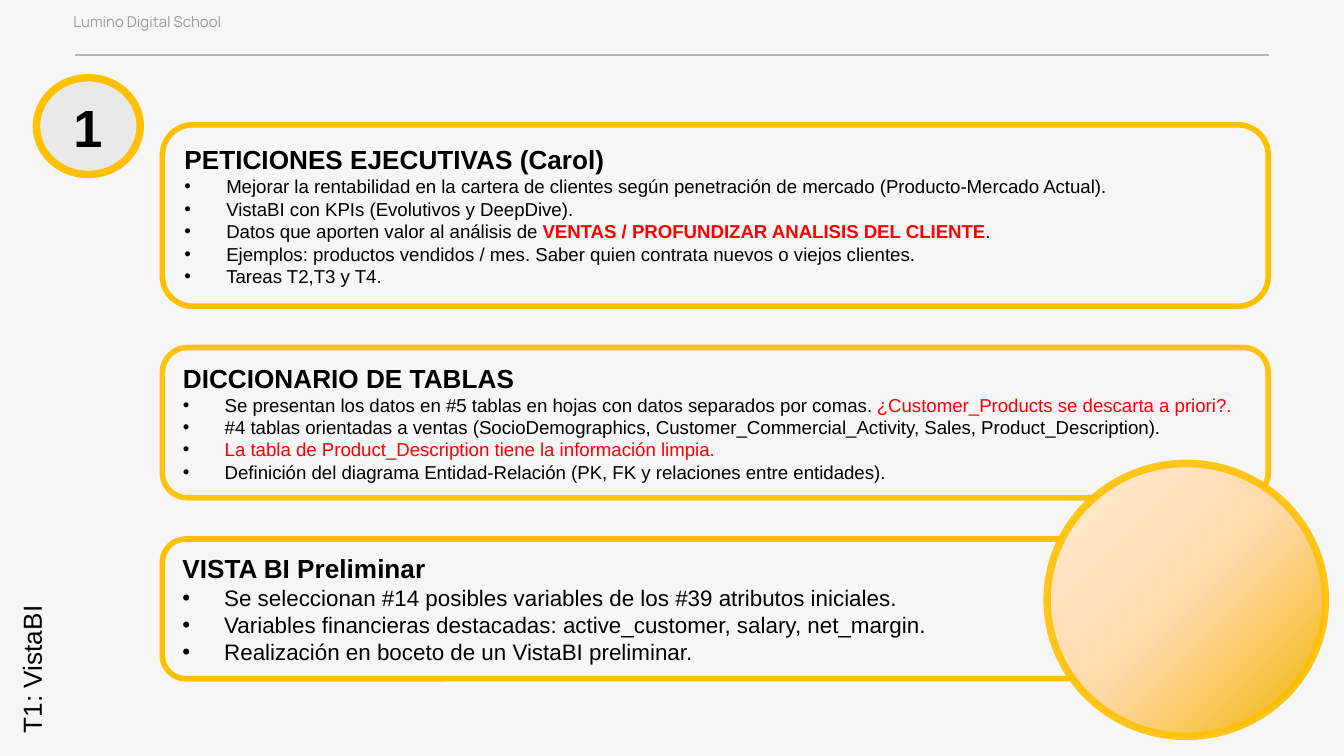
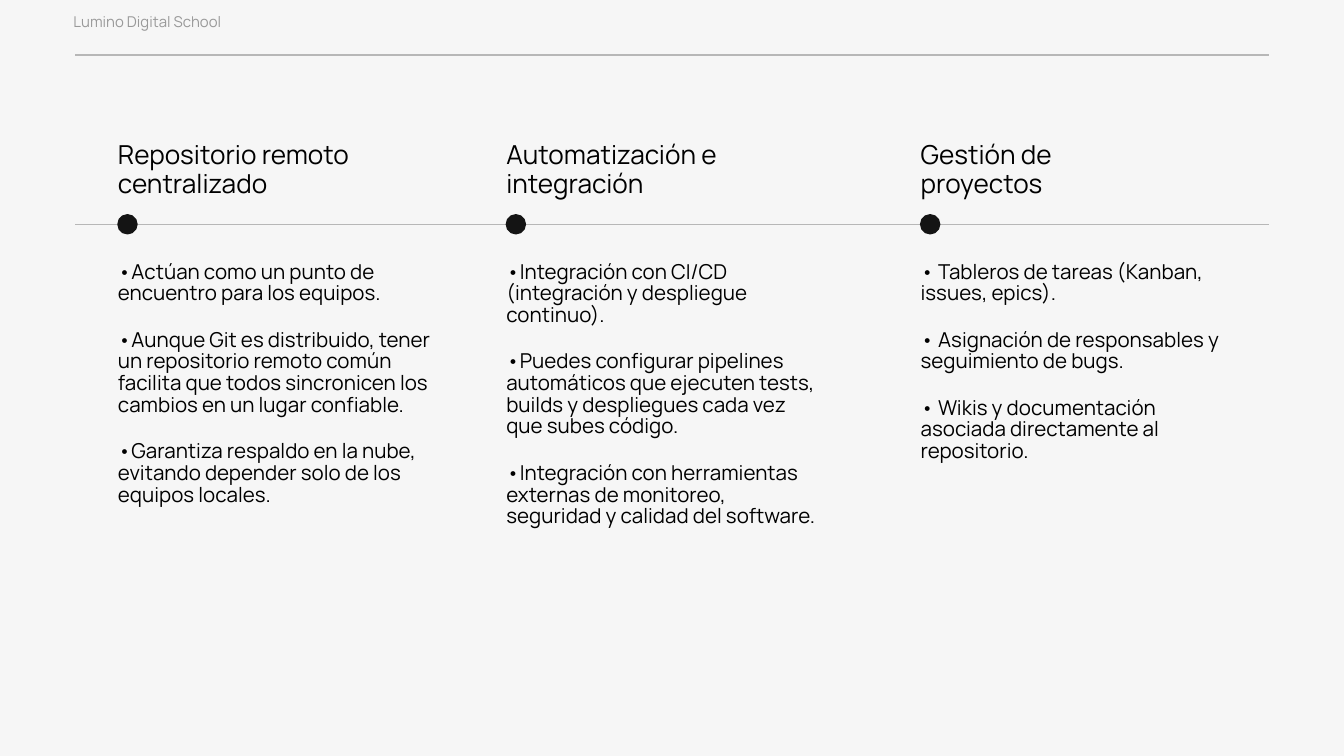
from dataclasses import dataclass

from lxml.etree import SubElement
from pptx import Presentation
from pptx.dml.color import RGBColor
from pptx.enum.shapes import MSO_CONNECTOR as Connector, MSO_SHAPE as Shape
from pptx.enum.text import MSO_ANCHOR as Anchor, PP_ALIGN as Align
from pptx.oxml.ns import qn
from pptx.util import Cm, Pt


@dataclass(frozen=True)
class Theme:
    background: str = "F6F6F6"
    rule: str = "B7B7B7"
    muted: str = "999999"
    text: str = "000000"
    alert: str = "FF0000"
    accent: str = "FFC000"
    dot: str = "141414"
    white: str = "FFFFFF"
    grey: str = "808080"
    glow: tuple = ((0, "F0B400"), (49, "FFD9A9"), (83, "FFE6C6"), (100, "FFC000"))
    sans: str = "Arial"
    brand: str = "Manrope"
    header_size: float = 8
    small_size: float = 10
    body_size: float = 11
    large_size: float = 12
    title_size: float = 14
    number_size: float = 28


THEME = Theme()

# Content
SCHOOL = "Lumino Digital School"
STEP = "1"
SIDE_LABEL = "T1: VistaBI"
PLAIN, RED, STRONG = "plain", "red", "strong"

# Cards: title, bullet size, height, line opacity, bullets made of (text, style) runs
CARDS = [
    ("PETICIONES EJECUTIVAS (Carol)", THEME.small_size, 3.43, 100, [
        [("Mejorar la rentabilidad en la cartera de clientes según penetración "
          "de mercado (Producto-Mercado Actual).", PLAIN)],
        [("VistaBI con KPIs (Evolutivos y DeepDive).", PLAIN)],
        [("Datos que aporten valor al análisis de ", PLAIN),
         ("VENTAS / PROFUNDIZAR ANALISIS DEL CLIENTE", STRONG), (".", PLAIN)],
        [("Ejemplos: productos vendidos / mes. Saber quien contrata nuevos "
          "o viejos clientes.", PLAIN)],
        [("Tareas T2,T3 y T4.", PLAIN)],
    ]),
    ("DICCIONARIO DE TABLAS", THEME.small_size, 2.84, 92, [
        [("Se presentan los datos en #5 tablas en hojas con datos separados "
          "por comas. ", PLAIN),
         ("¿Customer_Products se descarta a priori?.", RED)],
        [("#4 tablas orientadas a ventas (SocioDemographics, "
          "Customer_Commercial_Activity, Sales, Product_Description).", PLAIN)],
        [("La tabla de Product_Description tiene la información limpia.", RED)],
        [("Definición del diagrama Entidad-Relación (PK, FK y relaciones "
          "entre entidades).", PLAIN)],
    ]),
    ("VISTA BI Preliminar", THEME.large_size, 2.64, 100, [
        [("Se seleccionan #14 posibles variables de los #39 atributos "
          "iniciales.", PLAIN)],
        [("Variables financieras destacadas: active_customer, salary, "
          "net_margin.", PLAIN)],
        [("Realización en boceto de un VistaBI preliminar.", PLAIN)],
    ]),
]

# Timeline columns: left, title width, title, points
COLUMNS = [
    (1.98, 7.57, "Repositorio remoto centralizado", [
        "•Actúan como un punto de encuentro para los equipos.",
        "•Aunque Git es distribuido, tener un repositorio remoto común facilita "
        "que todos sincronicen los cambios en un lugar confiable.",
        "•Garantiza respaldo en la nube, evitando depender solo de los equipos "
        "locales.",
    ]),
    (9.32, 5, "Automatización e integración", [
        "•Integración con CI/CD (integración y despliegue continuo).",
        "•Puedes configurar pipelines automáticos que ejecuten tests, builds y "
        "despliegues cada vez que subes código.",
        "•Integración con herramientas externas de monitoreo, seguridad y "
        "calidad del software.",
    ]),
    (17.15, 5, "Gestión de proyectos", [
        "• Tableros de tareas (Kanban, issues, epics).",
        "• Asignación de responsables y seguimiento de bugs.",
        "• Wikis y documentación asociada directamente al repositorio.",
    ]),
]

# Layout in centimetres
RULE_LEFT, RULE_RIGHT, RULE_TOP = 1.42, 23.98, 1.04
CARD_LEFT, CARD_TOP, CARD_WIDTH, CARD_GAP = 3.07, 2.36, 20.9, 0.78
BULLET_INDENT = 0.79
TIMELINE_TOP, DOT_SIZE, DOT_OFFSET = 4.24, 0.36, 0.25
COLUMN_TITLE_TOP, COLUMN_BODY_TOP, COLUMN_BODY_WIDTH = 2.44, 4.7, 6.43


# Shared helpers
def rgb(value):
    return RGBColor.from_string(value)


def style_run(run, size, font=THEME.sans, color=THEME.text, bold=False):
    run.font.size = Pt(size)
    run.font.name = font
    run.font.bold = bold
    run.font.color.rgb = rgb(color)


def set_opacity(parent, percent):
    color = parent.find(qn("a:solidFill"))[0]
    SubElement(color, qn("a:alpha"), val=str(percent * 1000))


def add_rule(slide, top):
    rule = slide.shapes.add_connector(
        Connector.STRAIGHT, Cm(RULE_LEFT), Cm(top), Cm(RULE_RIGHT), Cm(top))
    rule.line.color.rgb = rgb(THEME.rule)
    rule.line.width = Pt(0.75)
    SubElement(rule._element.spPr, qn("a:effectLst"))


def add_text(slide, box, paragraphs, size, font=THEME.sans, color=THEME.text,
             bold=False, spacing=1.0, gap=0, inset=0.13):
    textbox = slide.shapes.add_textbox(*map(Cm, box))
    frame = textbox.text_frame
    frame.word_wrap = True
    frame.margin_top = frame.margin_bottom = Cm(inset)
    frame.text = "\n".join(paragraphs)
    for paragraph in frame.paragraphs:
        paragraph.line_spacing = spacing
        paragraph.space_after = Pt(gap)
        style_run(paragraph.runs[0], size, font, color, bold)
    return textbox


def add_brand_text(slide, box, paragraphs, size, **options):
    settings = {"font": THEME.brand, "spacing": 0.9, "inset": 0.25, **options}
    return add_text(slide, box, paragraphs, size, **settings)


def add_outlined(slide, kind, box, line, width, fill=None, opacity=100,
                 line_opacity=100):
    shape = slide.shapes.add_shape(kind, *map(Cm, box))
    shape.shadow.inherit = False
    shape.line.color.rgb = rgb(line)
    shape.line.width = Pt(width)
    if fill:
        shape.fill.solid()
        shape.fill.fore_color.rgb = rgb(fill)
        if opacity < 100:
            set_opacity(shape._element.spPr, opacity)
    if line_opacity < 100:
        set_opacity(shape._element.spPr.find(qn("a:ln")), line_opacity)
    return shape


def add_base_slide(presentation):
    slide = presentation.slides.add_slide(presentation.slide_layouts[6])
    slide.background.fill.solid()
    slide.background.fill.fore_color.rgb = rgb(THEME.background)
    add_rule(slide, RULE_TOP)
    add_brand_text(slide, (1.14, 0.13, 10.92, 0.97), [SCHOOL],
                   THEME.header_size, color=THEME.muted)
    return slide


# Parts of the summary slide
def add_bullet(paragraph):
    properties = paragraph._p.get_or_add_pPr()
    properties.set("marL", str(Cm(BULLET_INDENT)))
    properties.set("indent", str(-Cm(BULLET_INDENT)))
    bullet_color = SubElement(properties, qn("a:buClr"))
    SubElement(bullet_color, qn("a:srgbClr"), val=THEME.text)
    SubElement(properties, qn("a:buFont"), typeface=THEME.sans)
    SubElement(properties, qn("a:buChar"), char="•")


def add_card(slide, top, title, size, height, line_opacity, bullets):
    card = add_outlined(
        slide, Shape.ROUNDED_RECTANGLE, (CARD_LEFT, top, CARD_WIDTH, height),
        THEME.accent, 3, THEME.white, 10, line_opacity)
    frame = card.text_frame
    frame.word_wrap = True
    frame.vertical_anchor = Anchor.MIDDLE
    frame.text = title
    heading = frame.paragraphs[0]
    heading.alignment = Align.LEFT
    style_run(heading.runs[0], THEME.title_size, bold=True)
    for pieces in bullets:
        paragraph = frame.add_paragraph()
        paragraph.alignment = Align.LEFT
        add_bullet(paragraph)
        for text, style in pieces:
            run = paragraph.add_run()
            run.text = text
            color = THEME.text if style == PLAIN else THEME.alert
            style_run(run, size, color=color, bold=style == STRONG)


def fill_with_glow(shape):
    """Radial gradient that starts in the bottom right corner."""
    properties = shape._element.spPr
    gradient = SubElement(properties, qn("a:gradFill"), rotWithShape="1")
    stops = SubElement(gradient, qn("a:gsLst"))
    for position, color in THEME.glow:
        stop = SubElement(stops, qn("a:gs"), pos=str(position * 1000))
        SubElement(stop, qn("a:srgbClr"), val=color)
    circle = SubElement(gradient, qn("a:path"), path="circle")
    SubElement(circle, qn("a:fillToRect"), l="100000", t="100000")
    properties.find(qn("a:prstGeom")).addnext(gradient)


def build_summary(presentation):
    slide = add_base_slide(presentation)

    # Step number
    add_outlined(slide, Shape.OVAL, (0.69, 1.47, 1.96, 1.83),
                 THEME.accent, 4, THEME.grey, 10)
    add_text(slide, (1.14, 1.68, 0.81, 1.45), [STEP], THEME.number_size, bold=True)

    # Stacked cards
    top = CARD_TOP
    for title, size, height, line_opacity, bullets in CARDS:
        add_card(slide, top, title, size, height, line_opacity, bullets)
        top += height + CARD_GAP

    # Golden disc and vertical label
    disc = add_outlined(slide, Shape.OVAL, (19.79, 8.76, 5.26, 5.16),
                        THEME.accent, 4, line_opacity=88)
    fill_with_glow(disc)
    label = add_text(slide, (-2.18, 10.9, 5.56, 0.86), [SIDE_LABEL], THEME.title_size)
    label.rotation = 270


def build_timeline(presentation):
    slide = add_base_slide(presentation)

    # Column texts
    for left, title_width, title, points in COLUMNS:
        add_brand_text(slide, (left, COLUMN_TITLE_TOP, title_width, 1.14),
                       [title], THEME.title_size)
        add_brand_text(slide, (left, COLUMN_BODY_TOP, COLUMN_BODY_WIDTH, 2),
                       points, THEME.body_size, spacing=0.88, gap=13.2)

    # Line with one dot per column
    add_rule(slide, TIMELINE_TOP)
    for left, *_ in COLUMNS:
        box = (left + DOT_OFFSET, TIMELINE_TOP - DOT_SIZE / 2, DOT_SIZE, DOT_SIZE)
        add_outlined(slide, Shape.OVAL, box, THEME.dot, 0.75, THEME.dot)


def main():
    presentation = Presentation()
    presentation.slide_width = Cm(25.4)
    presentation.slide_height = Cm(14.29)
    build_summary(presentation)
    build_timeline(presentation)
    presentation.save("out.pptx")


if __name__ == "__main__":
    main()
